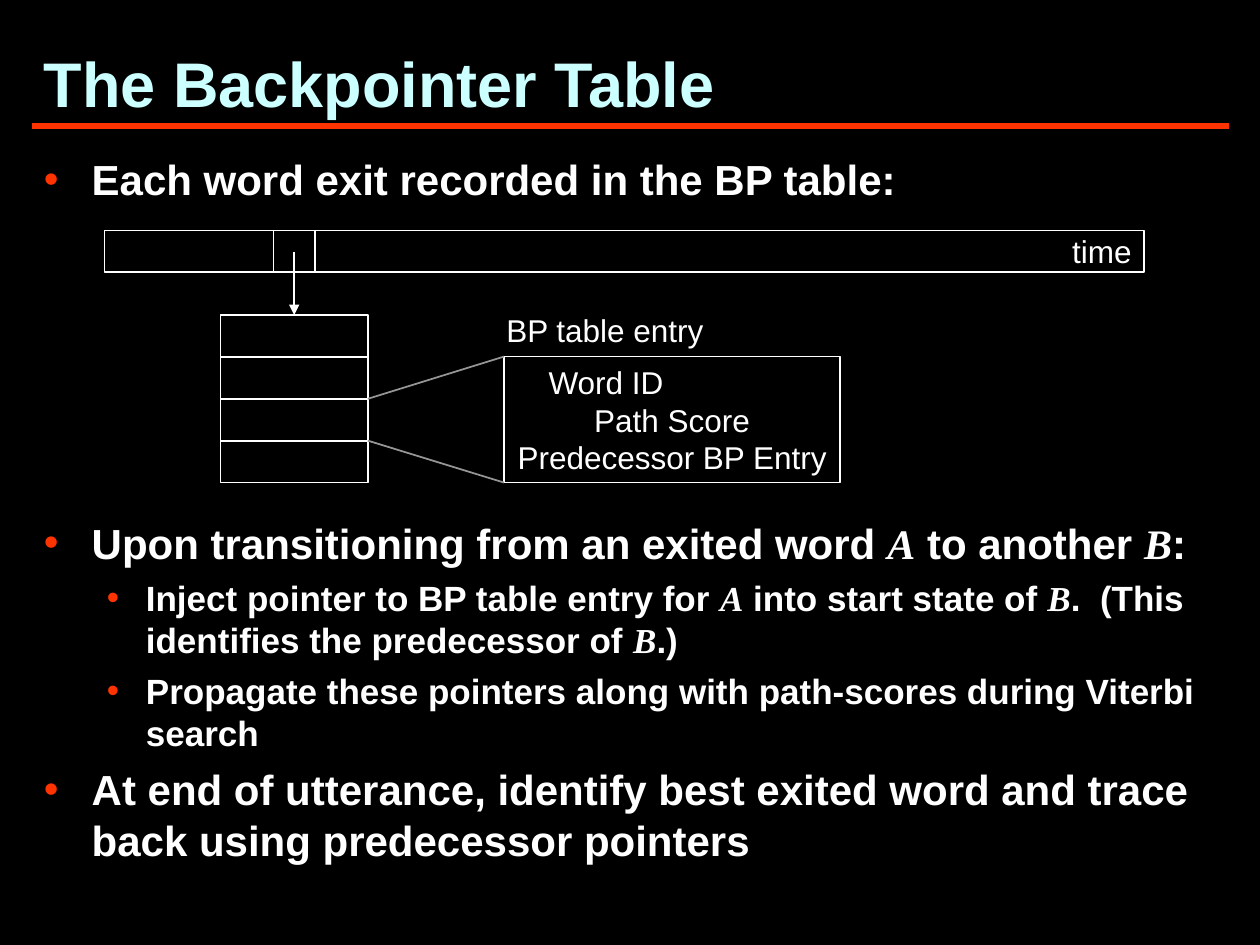
import pptx
import pptx.util
import pptx.dml.color
import pptx.enum.shapes
import pptx.enum.text
import pptx.oxml.ns
import lxml.etree

Inches = pptx.util.Inches
Pt = pptx.util.Pt
RGBColor = pptx.dml.color.RGBColor
Align = pptx.enum.text.PP_ALIGN
Anchor = pptx.enum.text.MSO_ANCHOR
qn = pptx.oxml.ns.qn

BLACK = RGBColor(0x00, 0x00, 0x00)
WHITE = RGBColor(0xFF, 0xFF, 0xFF)
CYAN = RGBColor(0xCC, 0xFF, 0xFF)
RED = RGBColor(0xFF, 0x33, 0x00)
GRAY = RGBColor(0x96, 0x96, 0x96)

TITLE = "The Backpointer Table"
VARIABLES = ("A", "B")
LEVELS = [
    {"size": 24, "margin": 0.38, "hang": 0.38, "before": 6},
    {"size": 20, "margin": 0.81, "hang": 0.31, "before": 5},
]
DIAGRAM_GAP = 179
BULLETS = [
    (0, None, ["Each word exit recorded in the BP table:"]),
    (0, DIAGRAM_GAP, ["Upon transitioning from an exited word ", "A", " to another ", "B", ":"]),
    (1, None, ["Inject pointer to BP table entry for ", "A", " into start state of ", "B",
               ".  (This identifies the predecessor of ", "B", ".)"]),
    (1, None, ["Propagate these pointers along with path-scores during Viterbi search"]),
    (0, None, ["At end of utterance, identify best exited word and trace back using predecessor pointers"]),
]
ENTRY_FIELDS = [("Word ID", 1.05), ("Path Score", 0), ("Predecessor BP Entry", 0)]

TIMELINE = (0.83, 1.83, 8.25, 0.33)
FRAME_EDGES = (2.17, 2.5)
STACK = (1.75, 2.5, 1.17, 1.33)
STACK_ROWS = 4
ENTRY = (4, 2.83, 2.67, 1)


def add_span(para, text, size, color=WHITE, bold=False):
    span = para.add_run()
    span.text = text
    font = span.font
    font.size, font.bold, font.color.rgb = Pt(size), bold, color
    font.name, font.italic = "Arial", False
    if text in VARIABLES:
        font.name, font.italic = "Times New Roman", True


def add_text(slide, place, anchor=Anchor.TOP):
    frame = slide.shapes.add_textbox(*map(Inches, place)).text_frame
    frame.word_wrap = True
    frame.vertical_anchor = anchor
    return frame


def add_line(slide, start, end, color=WHITE, width=1, arrow=False):
    line = slide.shapes.add_connector(
        pptx.enum.shapes.MSO_CONNECTOR.STRAIGHT, *map(Inches, (*start, *end)))
    line.line.color.rgb = color
    line.line.width = Pt(width)
    if arrow:
        lxml.etree.SubElement(line.line._get_or_add_ln(), qn("a:tailEnd"), type="triangle")
    lxml.etree.SubElement(line._element.spPr, qn("a:effectLst"))


def add_outline(slide, place):
    box = slide.shapes.add_shape(
        pptx.enum.shapes.MSO_SHAPE.RECTANGLE, *map(Inches, place))
    box.shadow.inherit = False
    box.fill.background()
    box.line.color.rgb = WHITE
    box.line.width = Pt(1)
    return box


def add_bullets(slide):
    frame = add_text(slide, (0.25, 1.17, 9.5, 5.83))
    for index, (level, gap, spans) in enumerate(BULLETS):
        style = LEVELS[level]
        para = frame.add_paragraph() if index else frame.paragraphs[0]
        para.level = level
        para.space_before = Pt(gap or style["before"])
        props = para._p.get_or_add_pPr()
        props.set("marL", str(Inches(style["margin"])))
        props.set("indent", str(-Inches(style["hang"])))
        tint = lxml.etree.SubElement(props, qn("a:buClr"))
        lxml.etree.SubElement(tint, qn("a:srgbClr"), val=str(RED))
        lxml.etree.SubElement(props, qn("a:buFont"), typeface="Arial")
        lxml.etree.SubElement(props, qn("a:buChar"), char="•")
        for text in spans:
            add_span(para, text, style["size"], bold=True)


def add_diagram(slide):
    timeline = add_outline(slide, TIMELINE).text_frame
    timeline.word_wrap = False
    timeline.vertical_anchor = Anchor.MIDDLE
    timeline.paragraphs[0].alignment = Align.RIGHT
    add_span(timeline.paragraphs[0], "time", 18)
    top, bottom = TIMELINE[1], TIMELINE[1] + TIMELINE[3]
    for edge in FRAME_EDGES:
        add_line(slide, (edge, top), (edge, bottom))

    add_outline(slide, STACK)
    left, top, width, height = STACK
    right = left + width
    rows = [top + height * row / STACK_ROWS for row in range(1, STACK_ROWS)]
    for row in rows:
        add_line(slide, (left, row), (right, row))
    center = sum(FRAME_EDGES) / 2
    add_line(slide, (center, 2), (center, top), arrow=True)

    add_outline(slide, ENTRY)
    fields = add_text(slide, ENTRY)
    for index, (field, right_margin) in enumerate(ENTRY_FIELDS):
        para = fields.add_paragraph() if index else fields.paragraphs[0]
        para.alignment = Align.CENTER
        para._p.get_or_add_pPr().set("marR", str(Inches(right_margin)))
        add_span(para, field, 18)
    label = add_text(slide, (3.92, 2.42, 1.83, 0.4))
    add_span(label.paragraphs[0], "BP table entry", 18)
    entry_left, entry_top, _, entry_height = ENTRY
    for row, corner in zip(rows[1:], (entry_top, entry_top + entry_height)):
        add_line(slide, (right, row), (entry_left, corner), GRAY)


def main():
    deck = pptx.Presentation()
    deck.slide_width, deck.slide_height = Inches(10), Inches(7.5)
    page = deck.slides.add_slide(deck.slide_layouts[6])
    page.background.fill.solid()
    page.background.fill.fore_color.rgb = BLACK
    add_line(page, (0.25, 1), (9.75, 1), RED, 4)
    add_bullets(page)
    title = add_text(page, (0.25, 0.29, 9.5, 0.71), Anchor.BOTTOM)
    add_span(title.paragraphs[0], TITLE, 36, CYAN, True)
    add_diagram(page)
    deck.save("out.pptx")


if __name__ == "__main__":
    main()
